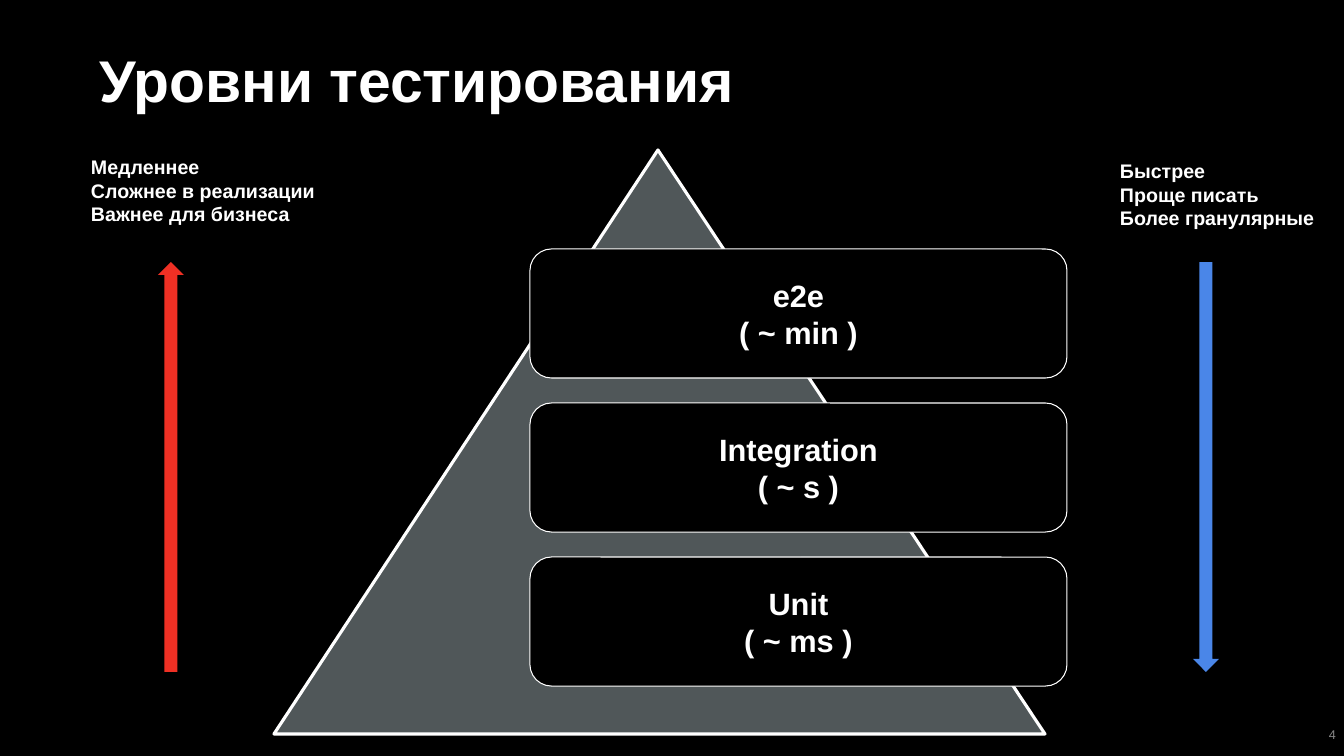
from pptx import Presentation, util as u
from pptx.dml.color import RGBColor
from pptx.enum import shapes, text

PX = 914400 / 100.8
BLACK = RGBColor(0x00, 0x00, 0x00)
WHITE = RGBColor(0xFF, 0xFF, 0xFF)
SLATE = RGBColor(0x50, 0x57, 0x59)
GREY = RGBColor(0x88, 0x88, 0x88)
RED = RGBColor(0xEF, 0x30, 0x24)
BLUE = RGBColor(0x4A, 0x86, 0xE8)


def px(*lengths):
    return [u.Emu(round(n * PX)) for n in lengths]


def write(shape, lines, size, inset, align=text.PP_ALIGN.LEFT, color=WHITE, bold=True):
    frame = shape.text_frame
    frame.word_wrap = True
    frame.margin_left = frame.margin_right = frame.margin_top = frame.margin_bottom = px(inset)[0]
    frame.text = lines
    for paragraph in frame.paragraphs:
        paragraph.alignment = align
        for run in paragraph.runs:
            run.font.name = "Arial"
            run.font.size = u.Pt(size)
            run.font.bold = bold
            run.font.color.rgb = color
    return frame


deck = Presentation()
deck.slide_width, deck.slide_height = px(1344, 756)
slide = deck.slides.add_slide(deck.slide_layouts[6])
slide.background.fill.solid()
slide.background.fill.fore_color.rgb = BLACK

# Page number
page_number = slide.shapes.add_textbox(*px(1322, 727, 14, 14))
number_frame = write(page_number, "4", 9, 0, text.PP_ALIGN.RIGHT, GREY, False)
number_frame.word_wrap = False
number_frame.vertical_anchor = text.MSO_ANCHOR.MIDDLE

# Pyramid
outline = slide.shapes.build_freeform(274, 734, scale=PX)
outline.add_line_segments([(658, 150), (1045, 734)], close=True)
pyramid = outline.convert_to_shape()
pyramid.shadow.inherit = False
pyramid.fill.solid()
pyramid.fill.fore_color.rgb = SLATE
pyramid.line.color.rgb = WHITE
pyramid.line.width = u.Pt(2.25)

# Test levels, top to bottom
levels = ["e2e\v( ~ min )", "Integration\v( ~ s )", "Unit\v( ~ ms )"]
for row, label in enumerate(levels):
    level = slide.shapes.add_shape(
        shapes.MSO_SHAPE.ROUNDED_RECTANGLE, *px(530, 249 + 154 * row, 537, 129))
    level.shadow.inherit = False
    level.fill.solid()
    level.fill.fore_color.rgb = BLACK
    level.line.color.rgb = WHITE
    level.line.width = u.Pt(0.75)
    level_frame = write(level, label, 22, 10, text.PP_ALIGN.CENTER)
    level_frame.vertical_anchor = text.MSO_ANCHOR.MIDDLE

# Title with a half-inch first-line indent
title = slide.shapes.add_textbox(*px(47, 42, 821, 70))
title_frame = write(title, "Уровни тестирования", 42, 2)
title_properties = title_frame.paragraphs[0]._p.get_or_add_pPr()
title_properties.set("marL", "0")
title_properties.set("indent", str(u.Inches(0.5)))

# Trade-off arrows
for direction, left, color in [
    (shapes.MSO_SHAPE.DOWN_ARROW, 1193, BLUE),
    (shapes.MSO_SHAPE.UP_ARROW, 158, RED),
]:
    arrow = slide.shapes.add_shape(direction, *px(left, 262, 26, 410))
    arrow.shadow.inherit = False
    arrow.fill.solid()
    arrow.fill.fore_color.rgb = color
    arrow.line.fill.background()

# Trade-off notes
for left, top, width, lines in [
    (1110, 149, 234, "Быстрее\nПроще писать\nБолее гранулярные"),
    (81, 145, 275, "Медленнее\nСложнее в реализации\nВажнее для бизнеса"),
]:
    note = slide.shapes.add_textbox(*px(left, top, width, 87))
    write(note, lines, 14, 10)

deck.save("out.pptx")
